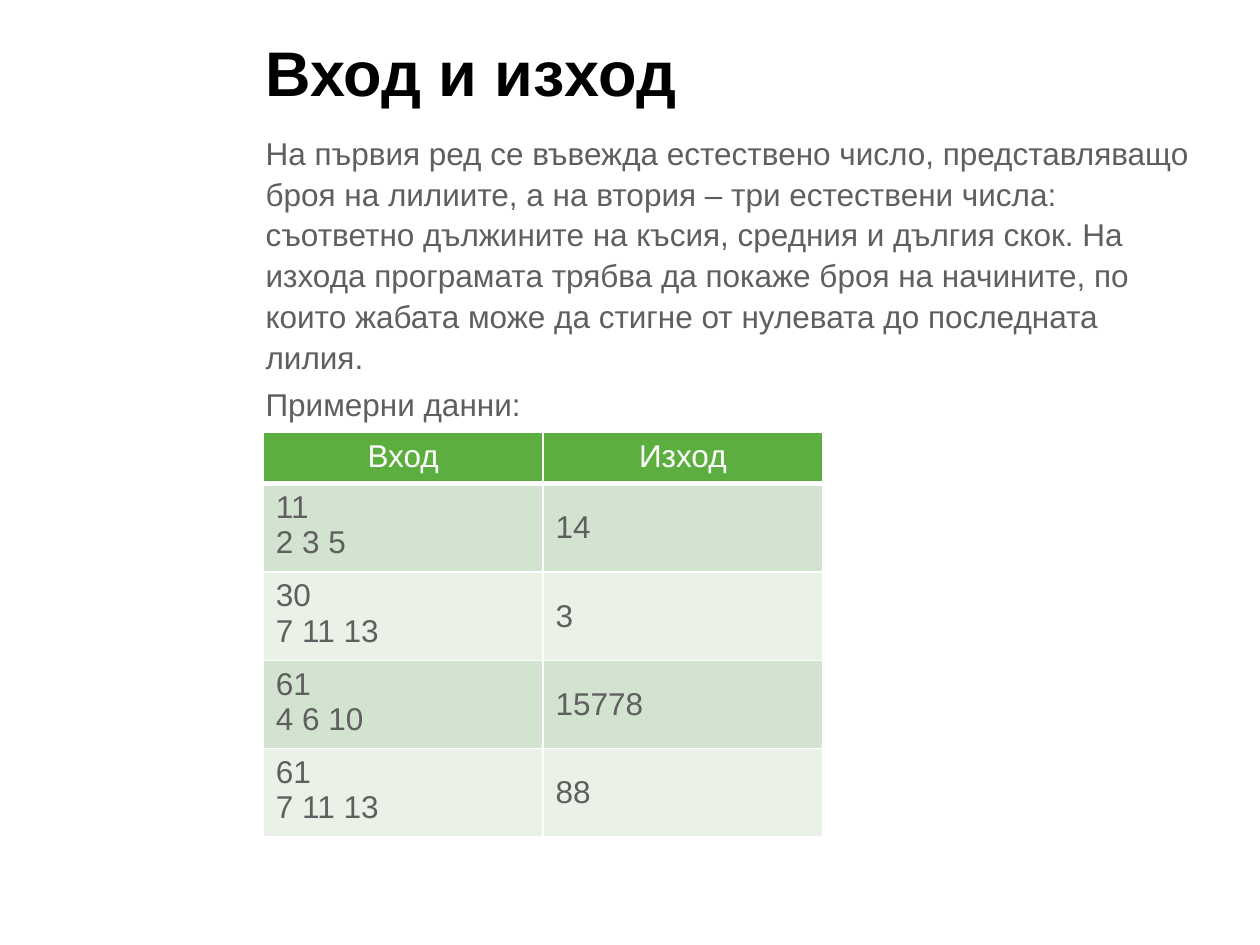
"""Build the slide that describes the input and output of the frog task."""
from lxml import etree
from pptx import Presentation
from pptx import util as u
from pptx.dml.color import RGBColor
from pptx.enum import text
from pptx.oxml.ns import qn

TITLE = "Вход и изход"
BODY = [
    "На първия ред се въвежда естествено число, представляващо броя на лилиите, "
    "а на втория – три естествени числа: съответно дължините на късия, средния и "
    "дългия скок. На изхода програмата трябва да покаже броя на начините, по които "
    "жабата може да стигне от нулевата до последната лилия.",
    "Примерни данни:",
]
EXAMPLES = [
    ("Вход", "Изход"),
    ("11\n2 3 5", "14"),
    ("30\n7 11 13", "3"),
    ("61\n4 6 10", "15778"),
    ("61\n7 11 13", "88"),
]
FONT, BLACK, GREY, WHITE = "Arial", "000000", "5F5F5F", "FFFFFF"
HEADER, BANDS = "5CAF3F", ("D2E3CF", "EAF2E8")
LEFT, TEXT_WIDTH = 2.01, 7.56
TABLE_LEFT, TABLE_TOP, COLUMN = 2.09, 3.43, 2.22
HEADER_ROW, EXAMPLE_ROW = 0.41, 0.66


def color(value):
    """Turn a hex string into a colour."""
    return RGBColor.from_string(value)


def style(paragraph, size, value, bold=False):
    """Set the font of a whole paragraph."""
    font = paragraph.font
    font.name, font.size, font.bold = FONT, u.Pt(size), bold
    font.color.rgb = color(value)


def add_text(slide, top, height, lines, size, value, bold=False):
    """Add a wrapped text box in the text column and return its frame."""
    box = slide.shapes.add_textbox(*map(u.Inches, (LEFT, top, TEXT_WIDTH, height)))
    frame = box.text_frame
    frame.word_wrap = True
    frame.text = "\n".join(lines)
    for paragraph in frame.paragraphs:
        style(paragraph, size, value, bold)
    return frame


def add_borders(cell, bottom):
    """Draw white lines around a cell."""
    properties = cell._tc.get_or_add_tcPr()
    for side, width in (("L", 1), ("R", 1), ("T", 1), ("B", bottom)):
        line = etree.SubElement(properties, qn(f"a:ln{side}"), w=str(u.Pt(width)))
        fill = etree.SubElement(line, qn("a:solidFill"))
        etree.SubElement(fill, qn("a:srgbClr"), val=WHITE)


def add_examples(slide):
    """Add the table of example data."""
    rows, columns = len(EXAMPLES), len(EXAMPLES[0])
    height = HEADER_ROW + (rows - 1) * EXAMPLE_ROW
    place = map(u.Inches, (TABLE_LEFT, TABLE_TOP, columns * COLUMN, height))
    table = slide.shapes.add_table(rows, columns, *place).table
    for r, values in enumerate(EXAMPLES):
        is_header = r == 0
        table.rows[r].height = u.Inches(HEADER_ROW if is_header else EXAMPLE_ROW)
        for c, value in enumerate(values):
            cell = table.cell(r, c)
            add_borders(cell, 3 if is_header else 1)
            cell.fill.solid()
            cell.fill.fore_color.rgb = color(HEADER if is_header else BANDS[(r - 1) % 2])
            cell.text = value
            if not is_header and c == 1:
                cell.vertical_anchor = text.MSO_ANCHOR.MIDDLE
            for paragraph in cell.text_frame.paragraphs:
                style(paragraph, 18, WHITE if is_header else GREY)
                if is_header:
                    paragraph.alignment = text.PP_ALIGN.CENTER


def main():
    """Put the slide together and save it."""
    deck = Presentation()
    deck.slide_width, deck.slide_height = u.Inches(10), u.Inches(7.5)
    slide = deck.slides.add_slide(deck.slide_layouts[6])
    title = add_text(slide, 0.21, 0.71, [TITLE], 36, BLACK, True)
    title.vertical_anchor = text.MSO_ANCHOR.MIDDLE
    body = add_text(slide, 0.99, 2.36, BODY, 18, GREY)
    for paragraph in body.paragraphs:
        paragraph.space_before = u.Pt(3.6)
        paragraph.line_spacing = 1.08
    add_examples(slide)
    deck.save("out.pptx")


if __name__ == "__main__":
    main()
